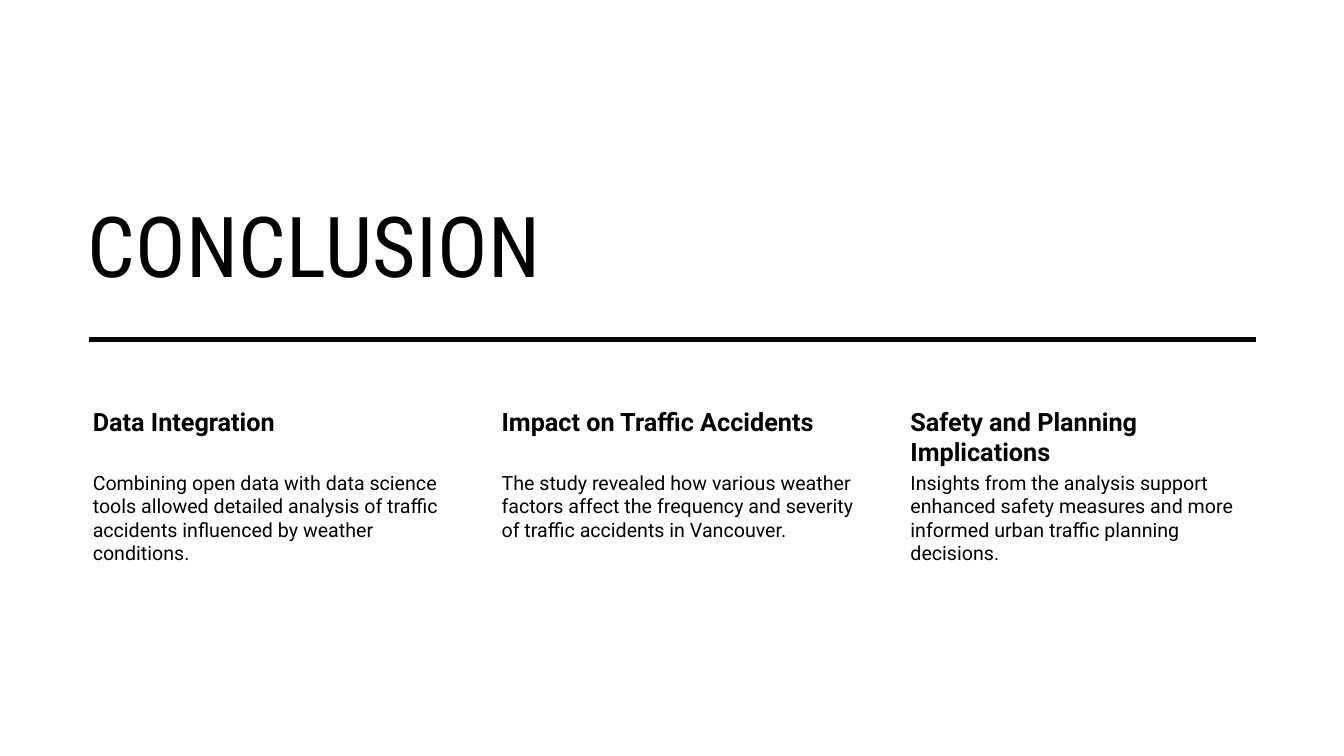
from pptx import Presentation
from pptx.dml.color import RGBColor as RGB
from pptx.enum.shapes import MSO_CONNECTOR as Link
from pptx.enum.text import MSO_ANCHOR as Anchor
from pptx.oxml.ns import qn
from pptx.util import Inches, Pt
from lxml.etree import SubElement as Sub

COLORS = {"ink": "000000", "paper": "FFFFFF"}
WIDE, HIGH = 13.33, 7.5

# Grid: three columns share the span between the margins
LEFT, SPAN, COL = 0.77, 11.8, 3.69
HEAD, BODY = 4, 4.65  # tops of the heading and body rows

POINTS = [
    ("Data Integration",
     "Combining open data with data science tools allowed detailed analysis "
     "of traffic accidents influenced by weather conditions."),
    ("Impact on Traffic Accidents",
     "The study revealed how various weather factors affect the frequency "
     "and severity of traffic accidents in Vancouver."),
    ("Safety and Planning Implications",
     "Insights from the analysis support enhanced safety measures and more "
     "informed urban traffic planning decisions."),
]
STEP = (SPAN - COL) / (len(POINTS) - 1)


def color(name):
    return RGB.from_string(COLORS[name])


def add_text(slide, text, area, size, face="Roboto", bold=False,
             inset=0.15, pad=0.02, anchor=Anchor.TOP):
    box = slide.shapes.add_textbox(*map(Inches, area))
    frame = box.text_frame
    frame.word_wrap = True
    frame.vertical_anchor = anchor
    frame.margin_left = Inches(inset)
    frame.margin_top = frame.margin_right = frame.margin_bottom = Inches(pad)
    para = frame.paragraphs[0]
    para.text = text
    font = para.font
    font.name, font.size, font.bold = face, Pt(size), bold
    font.color.rgb = color("ink")
    return para


def add_title(slide, text):
    para = add_text(slide, text, (LEFT, 1.4, 8.74, 1.54), 60,
                    "Roboto Condensed", inset=0.1, anchor=Anchor.BOTTOM)
    # Letter spacing in hundredths of a point
    para.runs[0].font._element.set("spc", "30")


def add_rule(slide, start, end, top):
    rule = slide.shapes.add_connector(
        Link.STRAIGHT, *map(Inches, (start, top, end, top)))
    rule.line.color.rgb = color("ink")
    rule.line.width = Pt(3.5)
    Sub(rule._element.spPr, qn("a:effectLst"))


def add_point(slide, col, head, body):
    left = LEFT + col * STEP
    add_text(slide, head, (left, HEAD, COL, BODY - HEAD), 18,
             bold=True, pad=0.03)
    add_text(slide, body, (left, BODY, COL, 2.1), 14)


def main():
    deck = Presentation()
    deck.slide_width, deck.slide_height = Inches(WIDE), Inches(HIGH)
    slide = deck.slides.add_slide(deck.slide_layouts[6])
    fill = slide.background.fill
    fill.solid()
    fill.fore_color.rgb = color("paper")

    # Title above the rule
    add_title(slide, "CONCLUSION")
    add_rule(slide, 0.88, 12.46, 3.37)

    # Three points below it
    for col, (head, body) in enumerate(POINTS):
        add_point(slide, col, head, body)

    deck.save("out.pptx")


if __name__ == "__main__":
    main()
